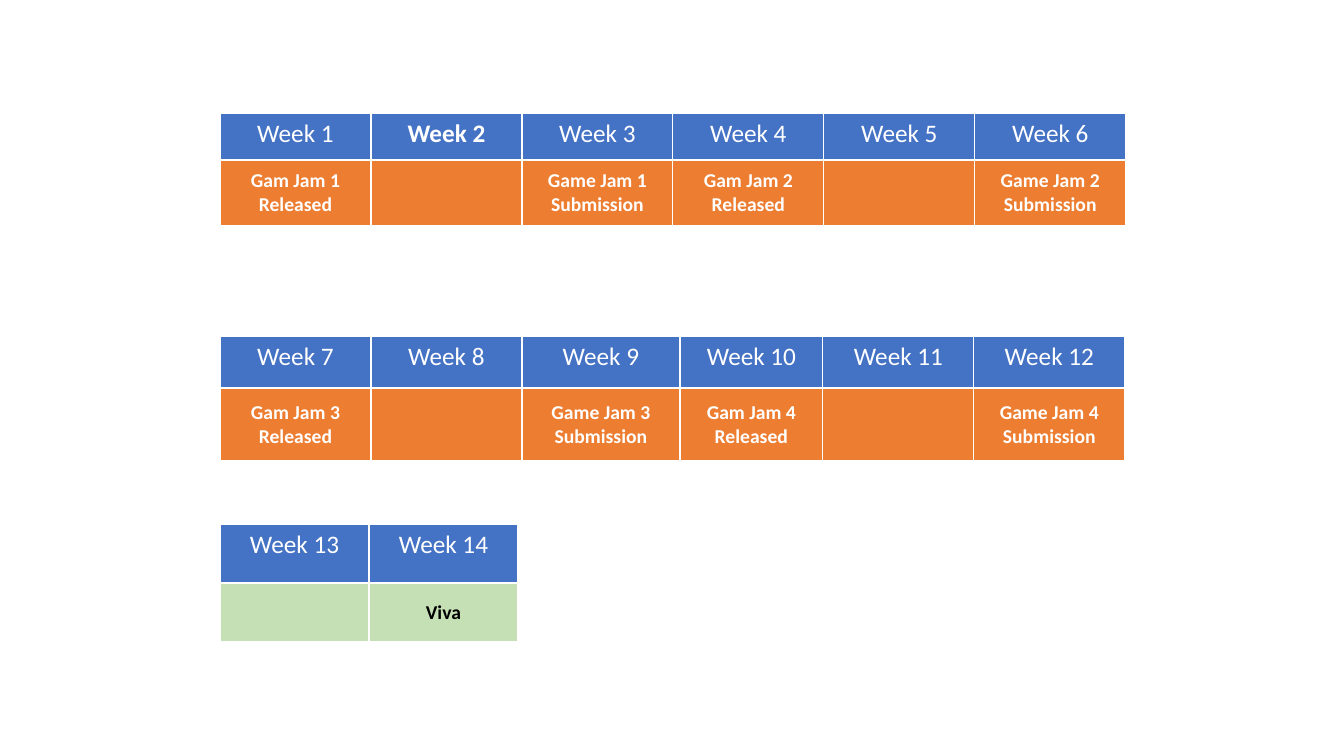
from dataclasses import dataclass

from lxml import etree
from pptx import Presentation
from pptx.dml.color import RGBColor
from pptx.enum.text import MSO_ANCHOR, PP_ALIGN
from pptx.oxml.ns import qn
from pptx.util import Emu, Pt

EMU_PER_PIXEL = 914400 / 100.8
SLIDE_WIDTH, SLIDE_HEIGHT = 1344, 756
BLANK_LAYOUT = 6
CENTER = PP_ALIGN.CENTER
TOP, MIDDLE = MSO_ANCHOR.TOP, MSO_ANCHOR.MIDDLE
BORDER_SIDES = ("a:lnL", "a:lnR", "a:lnT", "a:lnB")


@dataclass(frozen=True)
class Theme:
    font: str = "Calibri"
    white: str = "FFFFFF"
    black: str = "000000"
    blue: str = "4472C4"
    orange: str = "ED7D31"
    green: str = "C5E0B4"
    week_size: int = 18
    event_size: int = 14
    border_width: int = 1


def pixels(length):
    return Emu(round(length * EMU_PER_PIXEL))


class ScheduleSlide:
    def __init__(self, slide, theme):
        self.slide = slide
        self.theme = theme

    def border(self, cell):
        properties = cell._tc.get_or_add_tcPr()
        for side in BORDER_SIDES:
            line = etree.SubElement(properties, qn(side), w=str(Pt(self.theme.border_width)))
            fill = etree.SubElement(line, qn("a:solidFill"))
            etree.SubElement(fill, qn("a:srgbClr"), val=self.theme.white)

    def cell(self, cell, text, fill, color, size, bold, anchor):
        self.border(cell)
        cell.fill.solid()
        cell.fill.fore_color.rgb = RGBColor.from_string(fill)
        cell.vertical_anchor = anchor
        if not text:
            return
        frame = cell.text_frame
        for index, words in enumerate(text.split("\n")):
            paragraph = frame.add_paragraph() if index else frame.paragraphs[0]
            paragraph.alignment = CENTER
            run = paragraph.add_run()
            run.text = words
            run.font.name = self.theme.font
            run.font.size = Pt(size)
            run.font.bold = bold
            run.font.color.rgb = RGBColor.from_string(color)

    def schedule(self, left, top, widths, heights, first_week, events,
                 event_fill, event_color, current_week=None):
        frame = self.slide.shapes.add_table(
            len(heights), len(widths), pixels(left), pixels(top),
            pixels(sum(widths)), pixels(sum(heights)))
        table = frame.table
        table.first_row = False
        table.horz_banding = False
        for row, height in zip(table.rows, heights):
            row.height = pixels(height)
        for index, (width, event) in enumerate(zip(widths, events)):
            week = first_week + index
            table.columns[index].width = pixels(width)
            self.cell(table.cell(0, index), f"Week {week}", self.theme.blue,
                      self.theme.white, self.theme.week_size,
                      week == current_week, TOP)
            self.cell(table.cell(1, index), event, event_fill, event_color,
                      self.theme.event_size, True, MIDDLE)


def jam_events(first_jam):
    events = []
    for jam in (first_jam, first_jam + 1):
        events += [f"Gam Jam {jam}\nReleased", "", f"Game Jam {jam} Submission"]
    return events


presentation = Presentation()
presentation.slide_width = pixels(SLIDE_WIDTH)
presentation.slide_height = pixels(SLIDE_HEIGHT)
theme = Theme()
slide = presentation.slides.add_slide(presentation.slide_layouts[BLANK_LAYOUT])
schedule_slide = ScheduleSlide(slide, theme)

LEFT = 220
schedule_slide.schedule(LEFT, 113, [151] * 6, (47, 66), 1, jam_events(1),
                        theme.orange, theme.white, current_week=2)
schedule_slide.schedule(LEFT, 336, (151, 151, 158, 143, 151, 151), (52, 73), 7,
                        jam_events(3), theme.orange, theme.white)
schedule_slide.schedule(LEFT, 524, [149] * 2, (59, 59), 13, ("", "Viva"),
                        theme.green, theme.black)

presentation.save("out.pptx")
